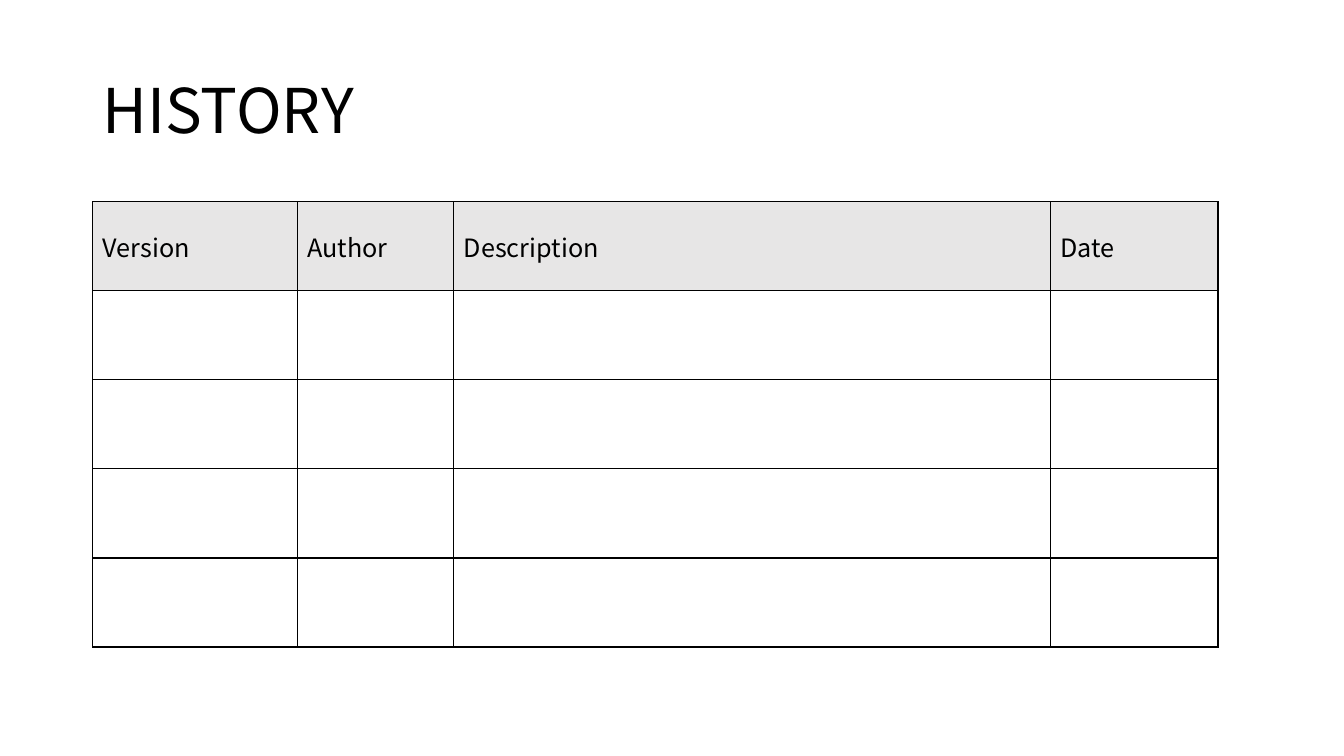
from lxml import etree
from pptx import Presentation
from pptx.dml.color import RGBColor as RGB
from pptx.enum.text import MSO_ANCHOR as Anchor
from pptx.oxml.ns import qn
from pptx.util import Inches, Pt

# Content
heading = "HISTORY"
columns = [("Version", 2.03), ("Author", 1.55), ("Description", 5.92), ("Date", 1.66)]
blank_entries = 4

# Style and layout
FONT = "Noto Sans CJK KR"
COLORS = {"ink": "000000", "header": "E7E6E6", "entry": "FFFFFF"}
LEFT, TABLE_TOP, TABLE_HEIGHT = 0.92, 2, 4.42


def style(paragraph, size):
    paragraph.font.name = FONT
    paragraph.font.size = Pt(size)
    paragraph.font.color.rgb = RGB.from_string(COLORS["ink"])


def add_borders(cell):
    properties = cell._tc.get_or_add_tcPr()
    for side in ("lnL", "lnR", "lnT", "lnB"):
        line = etree.SubElement(properties, qn(f"a:{side}"), w=str(Pt(1)))
        ink = etree.SubElement(line, qn("a:solidFill"))
        etree.SubElement(ink, qn("a:srgbClr"), val=COLORS["ink"])


def main():
    prs = Presentation()
    prs.slide_width, prs.slide_height = Inches(13.33), Inches(7.5)
    slide = prs.slides.add_slide(prs.slide_layouts[6])

    # Heading
    title = slide.shapes.add_textbox(
        Inches(LEFT), Inches(0.4), Inches(11.5), Inches(1.45)).text_frame
    title.word_wrap = True
    title.vertical_anchor = Anchor.MIDDLE
    title.text = heading
    title.paragraphs[0].line_spacing = 0.9
    style(title.paragraphs[0], 44)

    # Version history table
    row_count = 1 + blank_entries
    table_width = sum(width for _, width in columns)
    history = slide.shapes.add_table(
        row_count, len(columns), Inches(LEFT), Inches(TABLE_TOP),
        Inches(table_width), Inches(TABLE_HEIGHT)).table
    history.horz_banding = False
    for row in history.rows:
        row.height = Inches(TABLE_HEIGHT / row_count)
    for c, (label, width) in enumerate(columns):
        history.columns[c].width = Inches(width)
        for r in range(row_count):
            cell = history.cell(r, c)
            add_borders(cell)
            cell.vertical_anchor = Anchor.MIDDLE
            cell.fill.solid()
            cell.fill.fore_color.rgb = RGB.from_string(COLORS["entry" if r else "header"])
            if r == 0:
                cell.text = label
                cell.text_frame.paragraphs[0].font.bold = False
            style(cell.text_frame.paragraphs[0], 18)

    prs.save("out.pptx")


if __name__ == "__main__":
    main()
